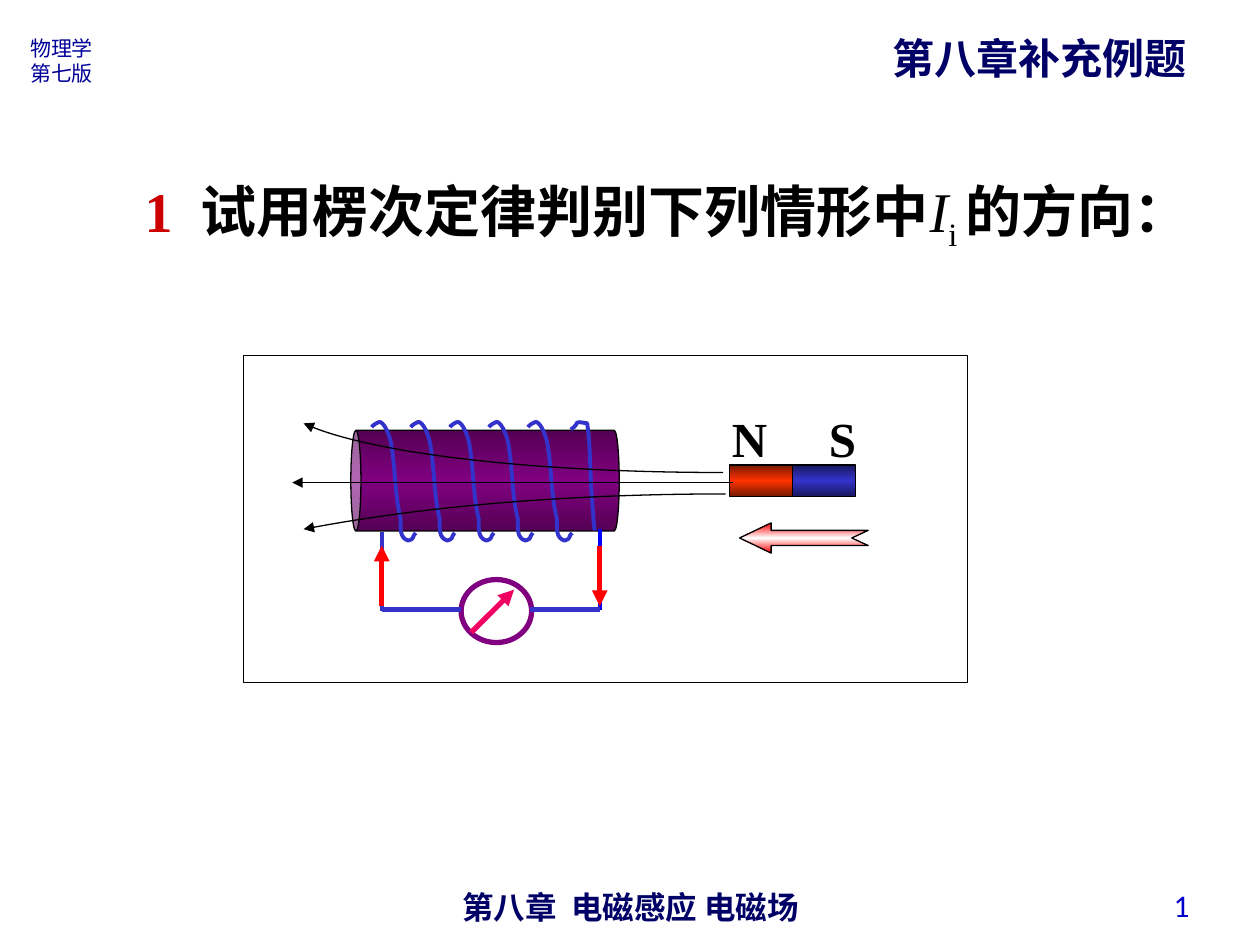
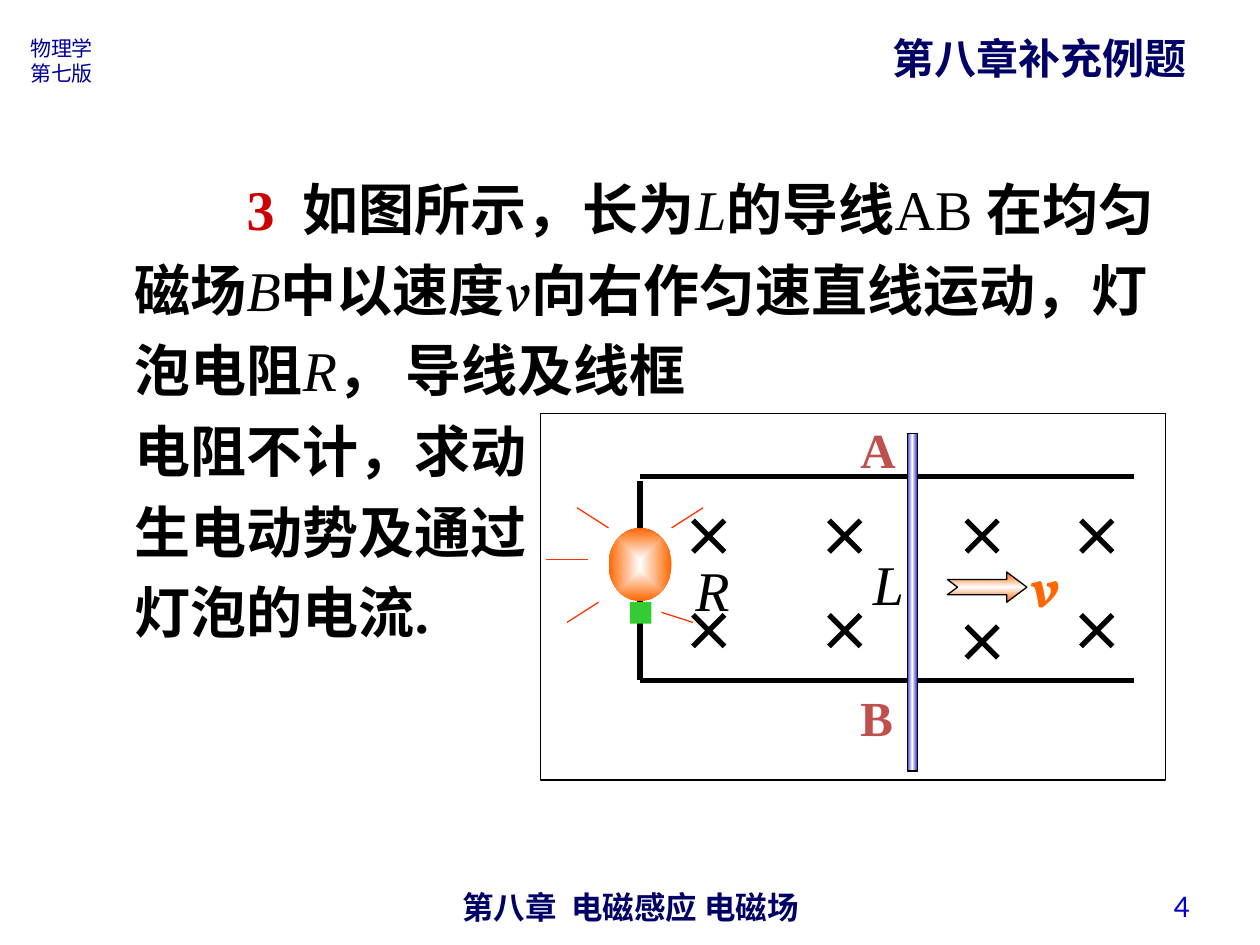
from lxml.etree import SubElement
from pptx import Presentation
from pptx.dml.color import RGBColor
from pptx.enum.shapes import MSO_CONNECTOR, MSO_SHAPE
from pptx.enum.text import MSO_ANCHOR, MSO_AUTO_SIZE, PP_ALIGN
from pptx.oxml import parse_xml
from pptx.oxml.ns import nsdecls, qn
from pptx.util import Inches, Pt

HUE = {
    "navy": "000066", "ink": "000099", "page": "0000CC", "black": "000000",
    "white": "FFFFFF", "mark": "CC0000", "wire": "3333CC", "lead": "0000FF",
    "purple": "800080", "plum": "550055", "pink": "F00061", "red": "FF0000",
    "flame": "FF3300", "rust": "761800", "dusk": "18185E", "brick": "C0504D",
    "orange": "FF6600", "green": "33CC33",
}
SERIF, SANS = "Times New Roman", "Noto Sans CJK SC"


def write(frame, lines, size, hue, font=SERIF, bold=None, italic=None,
          align=PP_ALIGN.LEFT, space=None, wrap=True, anchor=MSO_ANCHOR.TOP):
    frame.word_wrap = wrap
    frame.auto_size = MSO_AUTO_SIZE.NONE
    frame.vertical_anchor = anchor
    for i, line in enumerate(lines):
        para = frame.add_paragraph() if i else frame.paragraphs[0]
        para.alignment = align
        para.line_spacing = space
        para._p.get_or_add_pPr().set("hangingPunct", "0")
        face = para.font
        face.name, face.size = font, Pt(size)
        face.bold, face.italic = bold, italic
        face.color.rgb = RGBColor.from_string(HUE[hue])
        SubElement(face._rPr, qn("a:ea"), typeface=SANS)
        for text, style in [(line, "")] if isinstance(line, str) else line:
            run = para.add_run()
            run.text = text
            if "n" in style:
                run.font.bold = False
            if "i" in style:
                run.font.italic = True
            if "v" in style:
                run.font.name = "Vollkorn"
            if "s" in style:
                run.font._rPr.set("baseline", "-25000")
            if "m" in style:
                run.font.color.rgb = RGBColor.from_string(HUE["mark"])


def paint(shape, fill=None, line=None, width=0.75, arrow=False):
    props = shape._element.spPr
    if isinstance(fill, tuple):
        edge, core, angle = fill
        if angle is None:
            hues = [core, edge]
            way = ('<a:path path="rect"><a:fillToRect l="50000" t="50000" '
                   'r="50000" b="50000"/></a:path>')
        else:
            hues = [edge, core, edge]
            way = f'<a:lin ang="{angle * 60000}" scaled="0"/>'
        stops = "".join(
            f'<a:gs pos="{100000 * i // (len(hues) - 1)}"><a:srgbClr val="{HUE[h]}"/></a:gs>'
            for i, h in enumerate(hues))
        shape.fill.solid()
        props.replace(props.find(qn("a:solidFill")), parse_xml(
            f'<a:gradFill {nsdecls("a")} rotWithShape="1">'
            f'<a:gsLst>{stops}</a:gsLst>{way}</a:gradFill>'))
    elif fill:
        shape.fill.solid()
        shape.fill.fore_color.rgb = RGBColor.from_string(HUE[fill])
    elif hasattr(shape, "fill"):
        shape.fill.background()
    if line:
        shape.line.color.rgb = RGBColor.from_string(HUE[line])
        shape.line.width = Pt(width)
    else:
        shape.line.fill.background()
    if arrow:
        SubElement(shape.line._get_or_add_ln(), qn("a:tailEnd"), type="triangle")
    if hasattr(shape, "shadow"):
        shape.shadow.inherit = False
    else:
        SubElement(props, qn("a:effectLst"))


deck = Presentation()
deck.slide_width, deck.slide_height = Inches(10), Inches(7.5)

pages = []
for no in "1", "4":
    page = deck.slides.add_slide(deck.slide_layouts[5])
    pages.append(page.shapes)
    title = page.shapes.title
    title.left, title.top, title.width, title.height = map(Inches, (6.98, 0.21, 2.6, 0.5))
    write(title.text_frame, ["第八章补充例题"], 24, "navy", SANS, bold=True)
    for box, lines, size, hue, font, bold, align, anchor in [
        ((3.42, 7, 3.17, 0.29), ["第八章  电磁感应 电磁场"], 18, "navy", "Arial", True,
         PP_ALIGN.CENTER, MSO_ANCHOR.TOP),
        ((0.14, 0.23, 0.72, 0.5), ["物理学", "第七版"], 12, "ink", SANS, None,
         PP_ALIGN.LEFT, MSO_ANCHOR.TOP),
        ((7.21, 6.98, 2.33, 0.4), [no], 18, "page", "Calibri", None,
         PP_ALIGN.RIGHT, MSO_ANCHOR.MIDDLE),
    ]:
        frame = page.shapes.add_textbox(*map(Inches, box)).text_frame
        write(frame, lines, size, hue, font, bold, align=align, anchor=anchor)
coil, rail = pages

asks = [
    (coil, (1.05, 1.23, 8.9, 0.83), [
        [("1  ", "m"), ("试用楞次定律判别下列情形中", ""), ("I", "ni"), ("i ", "ns"),
         ("的方向：", "")]]),
    (rail, (0.97, 1.23, 8.6, 3.94), [
        [("3  ", "m"), ("如图所示，长为", ""), ("L", "ni"), ("的导线", ""), ("AB ", "n"),
         ("在均匀磁场", ""), ("B", "ni"), ("中以速度", ""), ("v", "niv"),
         ("向右作匀速直线运动，灯泡电阻", ""), ("R", "ni"), ("， 导线及线框", "")],
        "电阻不计，求动", "生电动势及通过", "灯泡的电流."]),
]
for shapes, box, lines in asks:
    ask = shapes.add_textbox(*map(Inches, box)).text_frame
    write(ask, lines, 32, "black", bold=True, space=1.2)
ask.paragraphs[0]._p.get_or_add_pPr().set("indent", str(Inches(0.89)))

can = coil.add_shape(MSO_SHAPE.CAN, *map(Inches, (3.45, 2.75, 0.8, 2.13)))
can.rotation = 270
can.adjustments[0] = 0.1
paint(can, ("plum", "purple", 0), "black")

turn = [(0, 3.39), (0, 3.38), (0.06, 3.34), (0.07, 3.35), (0.11, 3.37), (0.14, 3.46),
        (0.15, 3.5), (0.19, 3.7), (0.18, 3.92), (0.23, 4.12), (0.23, 4.19), (0.22, 4.27),
        (0.29, 4.29), (0.35, 4.27), (0.31, 4.27), (0.35, 4.23)]
last = [(4.53, 3.41), (4.62, 3.35), (4.53, 3.34), (4.66, 3.36), (4.69, 3.56),
        (4.68, 3.77), (4.7, 3.97), (4.7, 4.02), (4.71, 4.07), (4.71, 4.12),
        (4.71, 4.15), (4.72, 4.21), (4.72, 4.21)]
curves = [([(2.95 + 0.31 * i + x, y) for x, y in turn], "wire", 2.25, False)
          for i in range(5)]
curves += [
    (last, "wire", 2.25, False),
    ([(5.74, 3.75), (4.24, 3.75), (2.9, 3.59), (2.41, 3.36)], "black", 0.75, True),
    ([(5.76, 3.92), (4.52, 3.92), (3.34, 4.02), (2.41, 4.2)], "black", 0.75, True),
]
for knots, hue, width, arrow in curves:
    dots = [(Inches(x), Inches(y)) for x, y in knots]
    path = coil.build_freeform(*dots[0])
    path.add_line_segments(dots[1:], close=False)
    curve = path.convert_to_shape()
    trace = next(curve._element.iter(qn("a:path")))
    legs = trace.findall(qn("a:lnTo"))
    for k in range(0, len(legs), 3):
        bend = SubElement(trace, qn("a:cubicBezTo"))
        for leg in legs[k:k + 3]:
            bend.append(leg[0])
            trace.remove(leg)
    paint(curve, None, hue, width, arrow)

blocks = [
    (coil, MSO_SHAPE.OVAL, (3.66, 4.6, 0.56, 0.5), None, "purple", 3),
    (coil, MSO_SHAPE.RECTANGLE, (1.93, 2.82, 5.75, 2.6), None, "black", 0.75),
    (coil, MSO_SHAPE.RECTANGLE, (5.79, 3.69, 0.5, 0.25), ("rust", "flame", 90), "black", 0.75),
    (coil, MSO_SHAPE.RECTANGLE, (6.29, 3.69, 0.5, 0.25), ("dusk", "wire", 90), "black", 0.75),
    (rail, MSO_SHAPE.RECTANGLE, (4.29, 3.28, 4.96, 2.91), None, "black", 0.75),
]
strokes = [
    (coil, 3.03, 4.22, 3.03, 4.85, "wire", 2.25, False),
    (coil, 4.76, 4.2, 4.76, 4.84, "lead", 2.25, False),
    (coil, 3.66, 4.84, 3.03, 4.84, "wire", 3, False),
    (coil, 4.76, 4.84, 4.21, 4.84, "wire", 3, False),
    (coil, 3.74, 5.02, 4.08, 4.68, "pink", 3, True),
    (coil, 5.82, 3.83, 2.32, 3.83, "black", 0.75, True),
    (coil, 3.03, 4.81, 3.03, 4.33, "red", 3, True),
    (coil, 4.76, 4.33, 4.76, 4.81, "red", 3, True),
    (rail, 5.08, 3.78, 9, 3.78, "black", 3, False),
    (rail, 5.08, 5.4, 9, 5.4, "black", 3, False),
    (rail, 5.08, 3.82, 5.08, 5.4, "black", 3, False),
]
for x in 5.5, 6.58, 7.67, 8.58:
    for y in 4.13, 4.97 if x == 7.67 else 4.88:
        strokes += [(rail, x, y, x + 0.25, y + 0.25, "black", 3, False),
                    (rail, x + 0.25, y, x, y + 0.25, "black", 3, False)]
for ray in [(4.83, 4.19, 4.58, 4.03), (4.75, 4.78, 4.5, 4.94), (4.67, 4.44, 4.33, 4.44),
            (5.33, 4.19, 5.58, 4.03), (5.25, 4.86, 5.5, 4.94)]:
    strokes.append((rail, *ray, "flame", 0.75, False))

for shapes, kind, box, fill, line, width in blocks:
    paint(shapes.add_shape(kind, *map(Inches, box)), fill, line, width)
for shapes, x1, y1, x2, y2, hue, width, arrow in strokes:
    wire = shapes.add_connector(MSO_CONNECTOR.STRAIGHT, *map(Inches, (x1, y1, x2, y2)))
    paint(wire, None, hue, width, arrow)

for kind, box, fill, line in [
    (MSO_SHAPE.OVAL, (4.83, 4.19, 0.5, 0.58), ("orange", "white", None), None),
    (MSO_SHAPE.RECTANGLE, (5, 4.78, 0.17, 0.17), "green", None),
    (MSO_SHAPE.RECTANGLE, (7.2, 3.44, 0.08, 2.68), ("wire", "white", 0), "black"),
]:
    paint(rail.add_shape(kind, *map(Inches, box)), fill, line)

for shapes, hue, tip, neck, tail, notch, mid in [
    (coil, "red", 5.87, 6.12, 6.89, 6.76, 4.27),
    (rail, "orange", 8.15, 7.99, 7.52, 7.6, 4.66),
]:
    rim = [(tail, mid - 0.06), (neck, mid - 0.06), (neck, mid - 0.12), (tip, mid),
           (neck, mid + 0.12), (neck, mid + 0.06), (tail, mid + 0.06), (notch, mid)]
    dots = [(Inches(x), Inches(y)) for x, y in rim]
    path = shapes.build_freeform(*dots[0])
    path.add_line_segments(dots[1:])
    paint(path.convert_to_shape(), (hue, "white", 90), "black")

for shapes, text, x, y, size, hue, font, bold, italic in [
    (coil, "N", 5.71, 3.19, 28, "black", SERIF, True, None),
    (coil, "S", 6.48, 3.19, 28, "black", SERIF, True, None),
    (rail, "A", 6.73, 3.28, 28, "brick", SERIF, True, None),
    (rail, "B", 6.73, 5.41, 28, "brick", SERIF, True, None),
    (rail, "R", 5.42, 4.36, 32, "black", SERIF, None, True),
    (rail, "L", 6.83, 4.31, 32, "black", SERIF, None, True),
    (rail, "v", 8.08, 4.33, 32, "orange", "Vollkorn", True, True),
]:
    frame = shapes.add_textbox(*map(Inches, (x, y, 0.58, 0.6))).text_frame
    write(frame, [text], size, hue, font, bold, italic)

deck.save("out.pptx")
